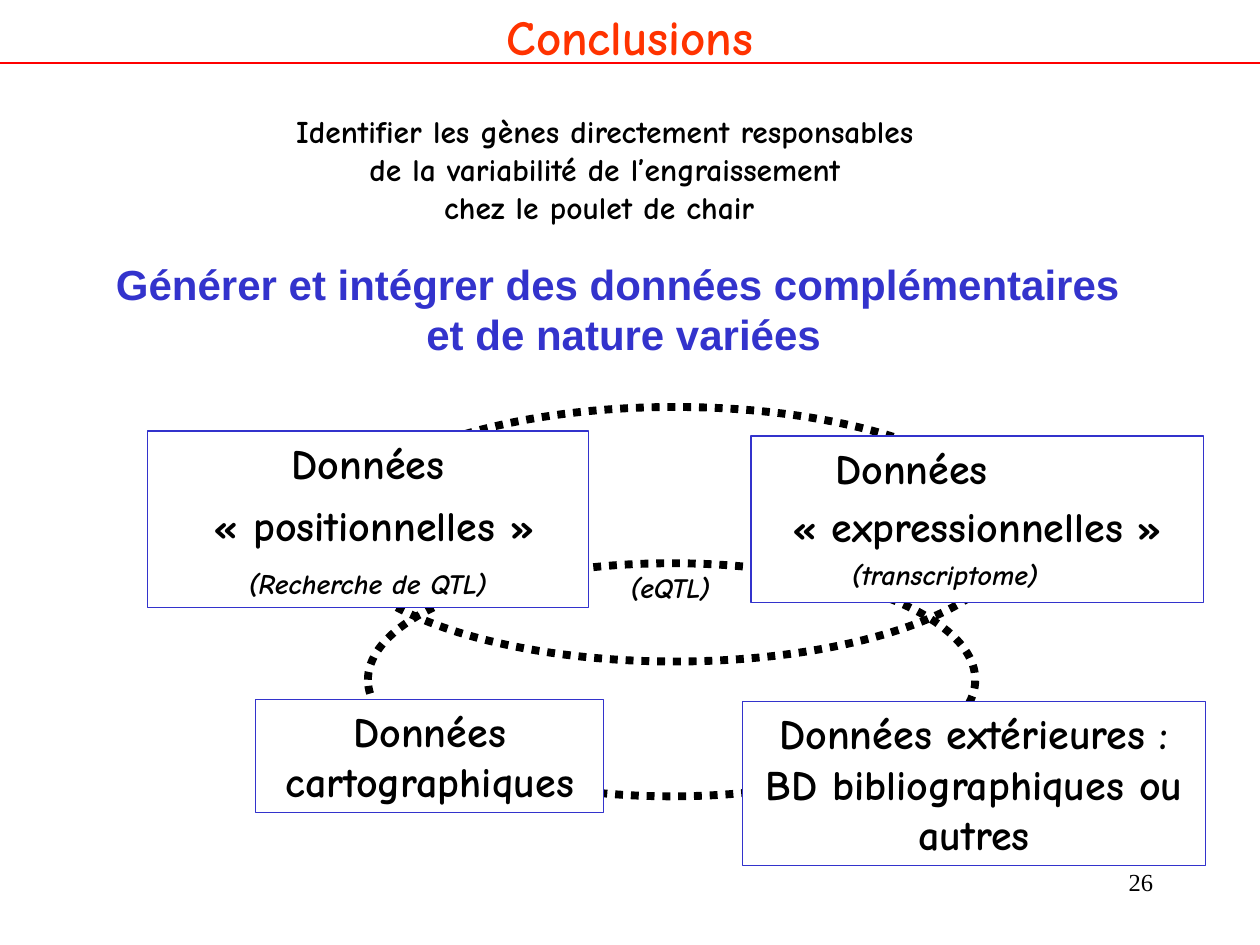
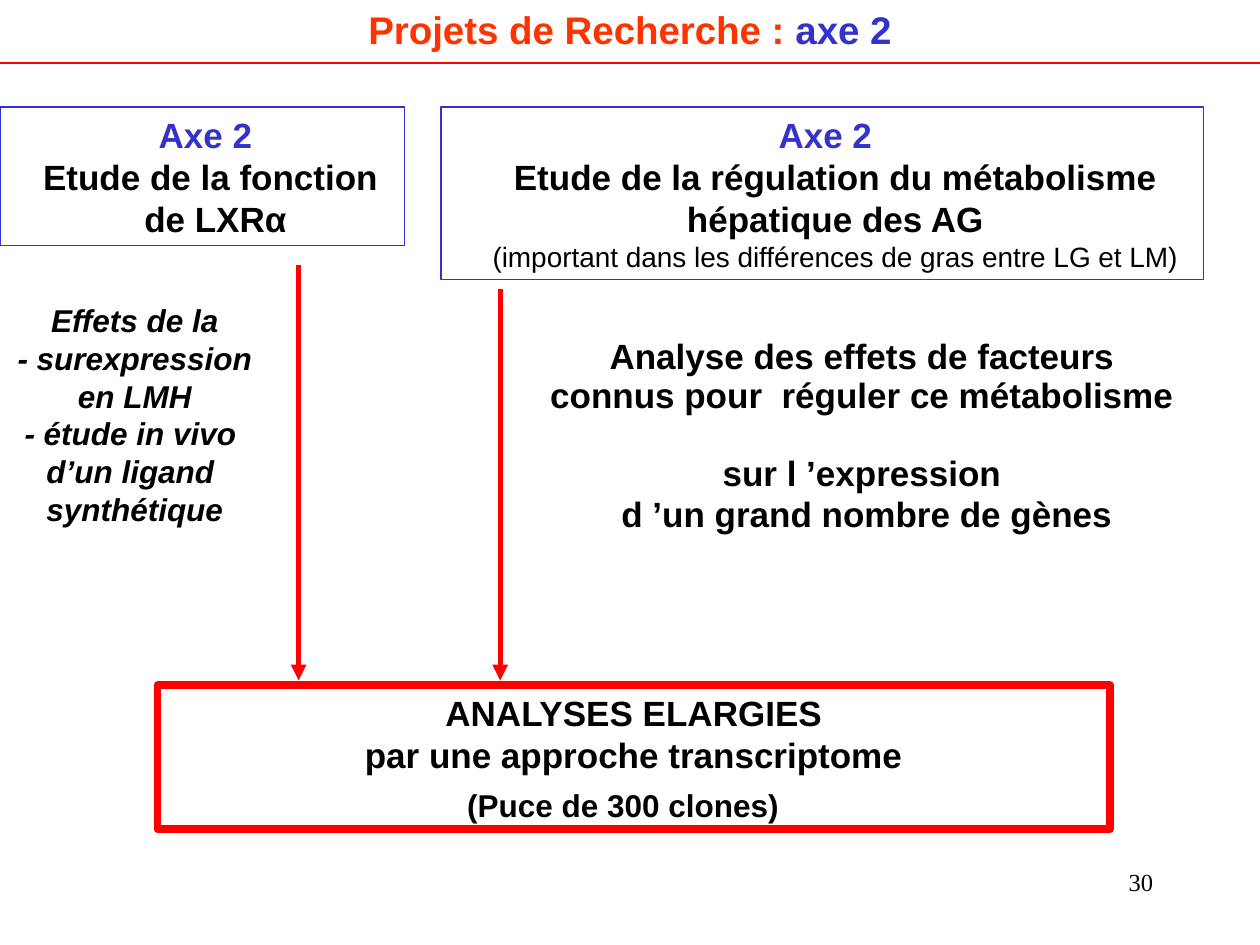
from lxml.etree import SubElement
from pptx import Presentation
from pptx.dml.color import RGBColor
from pptx.enum.dml import MSO_LINE as Dash
from pptx.enum.shapes import MSO_CONNECTOR as Conn, MSO_SHAPE as Kind
from pptx.enum.text import MSO_ANCHOR as Anchor, PP_ALIGN as Align
from pptx.oxml.ns import qn
from pptx.util import Inches, Pt

HUE = {"ink": "000000", "paper": "FFFFFF", "blue": "3333CC",
       "title": "FF3300", "red": "FF0000"}
COMIC, ARIAL, TIMES = "Comic Neue", "Arial", "Times New Roman"


def rgb(name):
    return RGBColor.from_string(HUE[name])


def place(box):
    return [Inches(v) for v in box]


# Text: each line is a string, or a string with its own settings
def write(shape, lines, wrap=True, **base):
    frame = shape.text_frame
    frame.word_wrap = wrap
    frame.vertical_anchor = Anchor.TOP
    for i, line in enumerate(lines):
        text, own = (line, {}) if isinstance(line, str) else line
        look = {"font": ARIAL, "size": 20, "hue": "ink", "bold": True,
                "italic": False, "align": Align.CENTER, **base, **own}
        para = frame.paragraphs[0] if i == 0 else frame.add_paragraph()
        para.alignment = look["align"]
        if "space" in look:
            para.line_spacing = look["space"]
        if "before" in look:
            para.space_before = Pt(look["before"])
        if "indent" in look:
            para._p.get_or_add_pPr().set("marL", str(Inches(look["indent"])))
        para.add_run().text = text
        font = para.font
        font.name, font.size = look["font"], Pt(look["size"])
        font.bold, font.italic = look["bold"], look["italic"]
        font.color.rgb = rgb(look["hue"])


def label(slide, box, lines, wrap=False, **base):
    write(slide.shapes.add_textbox(*place(box)), lines, wrap, **base)


def draw(slide, box, kind=Kind.RECTANGLE, fill=None, edge=None, width=0.75):
    shape = slide.shapes.add_shape(kind, *place(box))
    shape.shadow.inherit = False
    if fill:
        shape.fill.solid()
        shape.fill.fore_color.rgb = rgb(fill)
    else:
        shape.fill.background()
    if edge:
        shape.line.color.rgb = rgb(edge)
        shape.line.width = Pt(width)
    else:
        shape.line.fill.background()
    return shape


def card(slide, box, lines, fill=None, edge="blue", width=0.75, **base):
    write(draw(slide, box, fill=fill, edge=edge, width=width), lines, **base)


def ring(slide, box):
    shape = draw(slide, box, Kind.OVAL, edge="ink", width=4.5)
    shape.line.dash_style = Dash.ROUND_DOT


def rule(slide, start, end, width=0.75, arrow=False):
    line = slide.shapes.add_connector(Conn.STRAIGHT, *place(start + end))
    line.line.color.rgb = rgb("red")
    line.line.width = Pt(width)
    if arrow:
        SubElement(line.line._get_or_add_ln(), qn("a:tailEnd"), type="triangle")
    SubElement(line._element.spPr, qn("a:effectLst"))


# Title band with its rule
def header(slide, text, high, extra="", **look):
    band = draw(slide, (0, 0, 10, high), fill="paper")
    write(band, [text], hue="title", **look)
    if extra:
        run = band.text_frame.paragraphs[0].add_run()
        run.text = extra
        run.font.color.rgb = rgb("blue")
    rule(slide, (0, 0.5), (10, 0.5))


def footer(slide, number):
    label(slide, (7.17, 6.83, 2.08, 0.5), [number], wrap=True, font=TIMES,
          size=14, bold=False, align=Align.RIGHT)


# Four kinds of data joined by dotted rings
def network(slide, x, y):
    look = {"font": COMIC, "size": 24, "fill": "paper"}
    note = {"size": 16, "italic": True, "before": 10}
    left = {"align": Align.LEFT}
    ring(slide, (x + 1.75, y + 1.24, 4.82, 1.85))
    card(slide, (x + 0.86, y + 2.32, 2.76, 0.9),
         ["Données cartographiques"], **look)
    ring(slide, (x + 1.49, y, 5.39, 2.02))
    card(slide, (x + 4.79, y + 0.23, 3.59, 1.32),
         [("Données", {**left, "indent": 0.57}),
          ("« expressionnelles »", {"space": 0.6, "before": 15}),
          ("(transcriptome)", {**note, **left, "space": 0.7, "indent": 0.7})],
         **look)
    label(slide, (x + 3.73, y + 1.25, 0.84, 0.37), ["(eQTL)"],
          font=COMIC, size=16, italic=True)
    card(slide, (x + 4.72, y + 2.34, 3.68, 1.3),
         ["Données extérieures : BD bibliographiques ou autres"], **look)
    card(slide, (x, y + 0.19, 3.5, 1.4),
         ["Données",
          ("« positionnelles »", {"space": 0.7, "before": 15, "indent": 0.1}),
          ("(Recherche de QTL)", note)], **look)


def closing(slide):
    network(slide, 1.17, 3.23)
    header(slide, "Conclusions", 0.57, font=COMIC, size=28)
    label(slide, (0.82, 2, 8.26, 0.9),
          ["Générer et intégrer des données complémentaires ",
           "et de nature variées"], size=24, hue="blue")
    label(slide, (2.24, 0.84, 5.12, 1),
          ["Identifier les gènes directement responsables",
           "de la variabilité de l’engraissement",
           "chez le poulet de chair "], font=COMIC, size=18)
    footer(slide, "26")


# One research axis: framed aim and arrow down to the shared result
def axis(slide, box, lines, stem, top):
    head = ("Axe 2", {"hue": "blue", "indent": 0.05})
    card(slide, box, [head, *lines], indent=0.21)
    rule(slide, (stem, top), (stem, 5.4), 3, arrow=True)


def project(slide):
    card(slide, (1.25, 5.44, 7.56, 1.14),
         ["ANALYSES ELARGIES", "par une approche transcriptome",
          ("(Puce de 300 clones)", {"size": 18, "space": 0.6, "before": 13.5,
                                    "align": Align.LEFT, "indent": 2.36})],
         edge="red", width=4.5)
    axis(slide, (0, 0.85, 3.21, 1.1),
         ["Etude de la fonction ", "de LXRα"], 2.37, 2.1)
    axis(slide, (3.5, 0.85, 6.05, 1.37),
         ["Etude de la régulation du métabolisme hépatique des AG",
          ("(important dans les différences de gras entre LG et LM)",
           {"size": 16, "bold": False})], 3.97, 2.29)
    label(slide, (0.04, 2.34, 2.06, 2.2),
          ["Effets de la", "- surexpression", "en LMH", "- étude in vivo ",
           "d’un ligand ", "synthétique"], size=18, italic=True)
    label(slide, (4.18, 2.67, 5.4, 1.6),
          [("Analyse des effets de facteurs ", {"space": 0.8}),
           ("connus pour  réguler ce métabolisme ",
            {"space": 0.3, "before": 12.5}),
           ("sur l ’expression ", {"space": 0.6, "before": 32}),
           ("d ’un grand nombre de gènes", {"space": 0.4, "before": 12.5})],
          wrap=True)
    header(slide, "Projets de Recherche : ", 0.47, "axe 2", size=22)
    footer(slide, "30")


def main():
    deck = Presentation()
    deck.slide_width, deck.slide_height = Inches(10), Inches(7.5)
    for build in (closing, project):
        build(deck.slides.add_slide(deck.slide_layouts[6]))
    deck.save("out.pptx")


if __name__ == "__main__":
    main()
